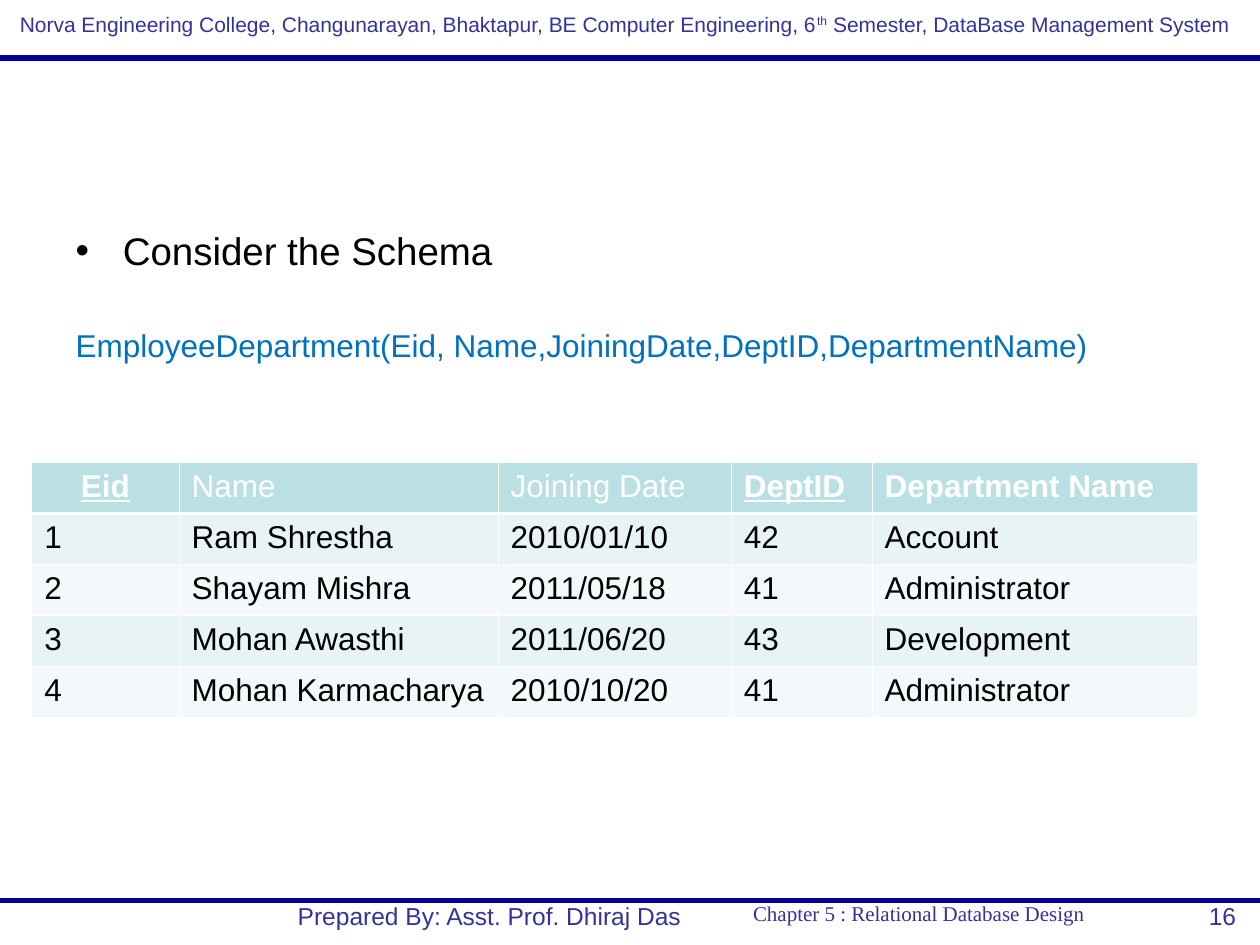
"""Build the Employee Department schema slide with its sample table."""
from lxml.etree import SubElement
from pptx import Presentation
from pptx.dml.color import RGBColor
from pptx.enum.shapes import MSO_CONNECTOR as CONN
from pptx.enum.text import MSO_AUTO_SIZE as FIT, PP_ALIGN as AL
from pptx.oxml.ns import qn
from pptx.util import Cm, Pt

NAVY = RGBColor(0x00, 0x00, 0x99)
INDIGO = RGBColor(0x33, 0x33, 0x99)
BLUE = RGBColor(0x00, 0x70, 0xC0)
BLACK = RGBColor(0x00, 0x00, 0x00)
WHITE = RGBColor(0xFF, 0xFF, 0xFF)
HEAD = RGBColor(0xBB, 0xE0, 0xE3)
BANDS = RGBColor(0xF3, 0xF9, 0xFA), RGBColor(0xE7, 0xF3, 0xF4)


def write(p, text, size=18, color=BLACK, font="Arial", bold=False, underline=False, align=AL.LEFT, raised=0):
    p.alignment = align
    r = p.add_run()
    r.text = text
    f = r.font
    f.size, f.name, f.bold, f.underline = Pt(size), font, bold, underline
    f.color.rgb = color
    if raised:
        r._r.get_or_add_rPr().set("baseline", str(raised * 1000))


def border(cell, side, width):
    ln = SubElement(cell._tc.get_or_add_tcPr(), qn(f"a:{side}"), w=str(Pt(width)))
    fill = SubElement(ln, qn("a:solidFill"))
    SubElement(fill, qn("a:srgbClr"), val=str(WHITE))


prs = Presentation()
prs.slide_width, prs.slide_height = Cm(25.4), Cm(19.05)
s = prs.slides.add_slide(prs.slide_layouts[1])
s.shapes.title._element.getparent().remove(s.shapes.title._element)

for y in (1.17, 18.16):
    line = s.shapes.add_connector(CONN.STRAIGHT, 0, Cm(y), prs.slide_width, Cm(y))
    line.line.color.rgb = NAVY
    line.line.width = Pt(3)
    SubElement(line._element.spPr, qn("a:effectLst"))

HEADER = [
    ("Norva Engineering College, Changunarayan, Bhaktapur, BE Computer Engineering, 6", {"size": 12}),
    ("th", {"size": 12, "raised": 30}),
    (" Semester, DataBase Management System", {"size": 12}),
]
CHAPTER = [("Chapter 5 : Relational Database Design", {"size": 12, "font": "Times New Roman", "align": AL.CENTER})]
AUTHOR = [("Prepared By: Asst. Prof. Dhiraj Das", {"size": 14, "align": AL.CENTER})]
NUMBER = [("16", {"size": 14, "align": AL.RIGHT})]
for x, y, w, h, wrap, runs in (
    (0.15, 0.1, 24.92, 0.76, False, HEADER),
    (14.5, 18.03, 8.05, 0.81, False, CHAPTER),
    (4.93, 18.03, 9.88, 1.02, True, AUTHOR),
    (19.25, 18.03, 5.92, 0.81, True, NUMBER),
):
    tf = s.shapes.add_textbox(Cm(x), Cm(y), Cm(w), Cm(h)).text_frame
    tf.word_wrap = wrap
    for text, fmt in runs:
        write(tf.paragraphs[0], text, color=INDIGO, **fmt)

sp = s.placeholders[1]
sp.left, sp.top, sp.width, sp.height = Cm(1.27), Cm(4.45), Cm(22.86), Cm(13.54)
tf = sp.text_frame
tf.auto_size = FIT.NONE
p = tf.paragraphs[0]
p.space_before = Pt(5.5)
write(p, "Consider the Schema", size=22)
p = tf.add_paragraph()
p.space_before = Pt(30)
write(p, "EmployeeDepartment(Eid, Name,JoiningDate,DeptID,DepartmentName)", color=BLUE)
SubElement(p._p.get_or_add_pPr(), qn("a:buNone"))

ROWS = [
    ("Eid", "Name", "Joining Date", "DeptID", "Department Name"),
    ("1", "Ram Shrestha", "2010/01/10", "42", "Account"),
    ("2", "Shayam Mishra", "2011/05/18", "41", "Administrator"),
    ("3", "Mohan Awasthi", "2011/06/20", "43", "Development"),
    ("4", "Mohan Karmacharya", "2010/10/20", "41", "Administrator"),
]
WIDTHS = 2.97, 6.43, 4.7, 2.84, 6.55
KEYS = "Eid", "DeptID"
BOLD = KEYS + ("Department Name",)
table = s.shapes.add_table(len(ROWS), len(WIDTHS), Cm(0.64), Cm(9.32), Cm(sum(WIDTHS)), Cm(5.15)).table
for col, width in zip(table.columns, WIDTHS):
    col.width = Cm(width)
for i, row in enumerate(ROWS):
    table.rows[i].height = Cm(1.03)
    for j, text in enumerate(row):
        cell = table.cell(i, j)
        for side in ("lnL", "lnR", "lnT", "lnB"):
            thick = (i, side) in ((0, "lnB"), (1, "lnT"))
            border(cell, side, 1.47 if thick else 0.45)
        cell.fill.solid()
        cell.fill.fore_color.rgb = BANDS[i % 2] if i else HEAD
        write(
            cell.text_frame.paragraphs[0],
            text,
            color=BLACK if i else WHITE,
            bold=text in BOLD,
            underline=text in KEYS,
            align=AL.CENTER if text == "Eid" else AL.LEFT,
        )

prs.save("out.pptx")
